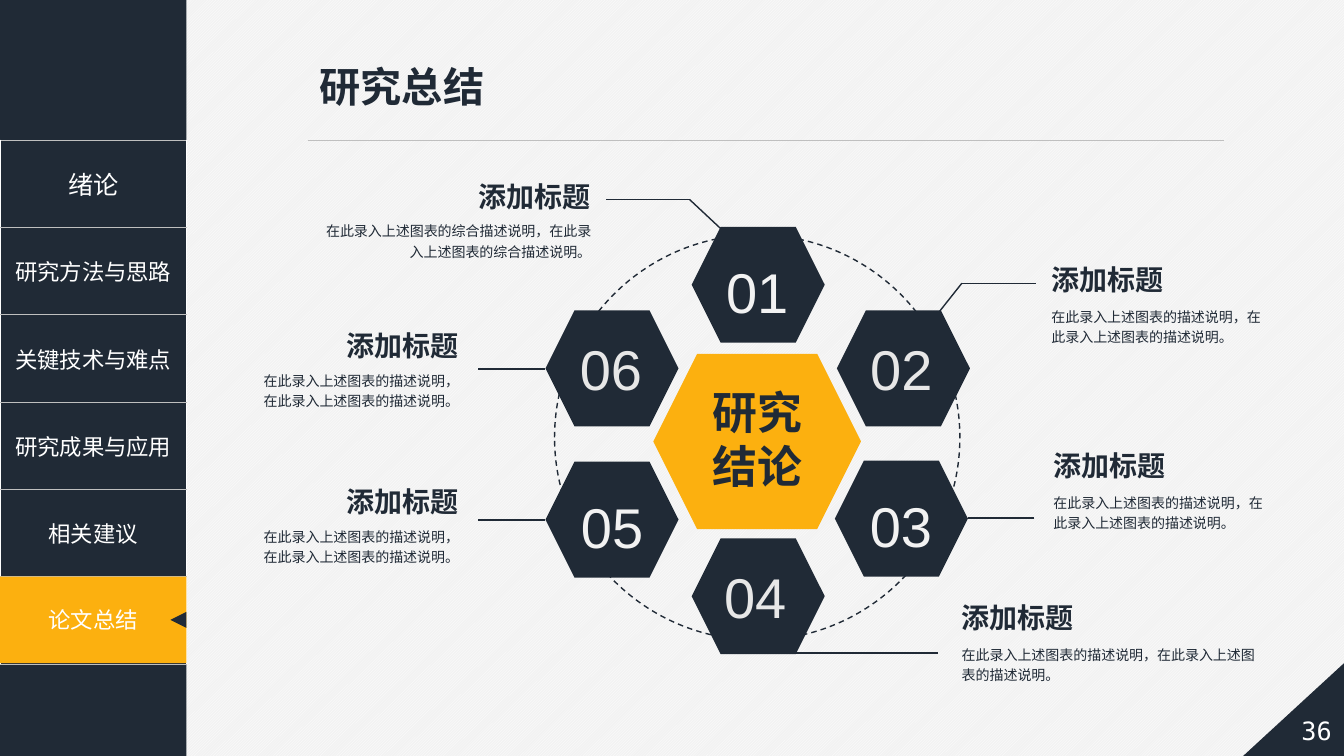
from lxml.etree import SubElement
from pptx import Presentation
from pptx.dml.color import RGBColor
from pptx.enum.dml import MSO_LINE as DASH, MSO_PATTERN as PAT
from pptx.enum.shapes import MSO_CONNECTOR as CON, MSO_SHAPE as KIND
from pptx.enum.text import MSO_ANCHOR as ANC, MSO_AUTO_SIZE as AUTO, PP_ALIGN as AL
from pptx.oxml import parse_xml
from pptx.oxml.ns import nsdecls, qn
from pptx.util import Pt

PX = 9144
NAVY, GOLD, GREY, WHITE = "202A36", "FCB00F", "BFBFBF", "FFFFFF"
CJK = "Noto Sans CJK SC"
hue = RGBColor.from_string

deck = Presentation()
deck.slide_width, deck.slide_height = 1333 * PX, 750 * PX
slide = deck.slides.add_slide(deck.slide_layouts[5])
shapes = slide.shapes
back = slide.background.fill
back.patterned()
back.pattern = PAT.LIGHT_UPWARD_DIAGONAL
back.fore_color.rgb, back.back_color.rgb = hue(WHITE), hue("F2F2F2")


def block(kind, at, color=None):
    at = [n * PX for n in at]
    if kind is None:
        return shapes.add_textbox(*at)
    shape = shapes.add_shape(kind, *at)
    shape.shadow.inherit = False
    shape.line.fill.background()
    if color:
        shape.fill.solid()
        shape.fill.fore_color.rgb = hue(color)
    else:
        shape.fill.background()
    return shape


def write(frame, text, color, size, align=AL.CENTER, name=CJK, bold=False, space=1.0):
    para = frame.paragraphs[0]
    para.alignment, para.line_spacing = align, space
    run = para.add_run()
    run.text = text
    form = {"size": Pt(size), "bold": bold, "name": name}
    for key, val in form.items():
        setattr(run.font, key, val)
    run.font.color.rgb = hue(color)
    SubElement(run.font._element, qn("a:ea"), typeface=CJK)


title = shapes.title
box = {"left": 307, "top": 56, "width": 185, "height": 59}
for key, val in box.items():
    setattr(title, key, val * PX)
frame = title.text_frame
frame.word_wrap, frame.vertical_anchor = False, ANC.MIDDLE
write(frame, "研究总结", NAVY, 29.4, AL.LEFT, "Arial", True)

block(KIND.RECTANGLE, (0, 0, 185, 750), NAVY)
menu = ["绪论", "研究方法与思路", "关键技术与难点", "研究成果与应用", "相关建议", "论文总结"]
table = shapes.add_table(6, 1, 0, 139 * PX, 185 * PX, 520 * PX).table
table.first_row = table.horz_banding = False
for i, text in enumerate(menu):
    table.rows[i].height = 520 * PX // 6
    cell = table.cell(i, 0)
    cell.vertical_anchor = ANC.MIDDLE
    write(cell.text_frame, text, WHITE, 16 if i else 18)
    prop = cell._tc.get_or_add_tcPr()
    for side in ("lnT", "lnB"):
        prop.append(parse_xml(
            f'<a:{side} {nsdecls("a")} w="12700"><a:solidFill>'
            f'<a:srgbClr val="{GREY}"/></a:solidFill></a:{side}>'))
    cell.fill.background()

tab = block(KIND.RECTANGLE, (0, 572, 185, 86), GOLD)
tab.text_frame.vertical_anchor = ANC.MIDDLE
write(tab.text_frame, menu[-1], WHITE, 16)
block(KIND.ISOSCELES_TRIANGLE, (169, 607, 16, 16), NAVY).rotation = 270

corner = block(KIND.RIGHT_TRIANGLE, (1233, 658, 100, 92), NAVY)
plate = block(KIND.PENTAGON, (1245, 697, 108, 55))
for shape in (corner, plate):
    shape.element.spPr.get_or_add_xfrm().set("flipH", "1")
plate.text_frame.vertical_anchor = ANC.MIDDLE
write(plate.text_frame, "36", WHITE, 18, name="DejaVu Sans Mono")

routes = [
    (GREY, 0.5, [(305, 139), (1214, 139)]),
    (NAVY, 1, [(1026, 514), (960, 514)]),
    (NAVY, 1, [(789, 648), (930, 648)]),
    (NAVY, 1, [(541, 516), (474, 516)]),
    (NAVY, 1, [(541, 366), (474, 366)]),
    (NAVY, 1, [(715, 227), (684, 198), (601, 198)]),
    (NAVY, 1, [(931, 310), (954, 281), (1028, 281)]),
]
for color, width, dots in routes:
    for start, end in zip(dots, dots[1:]):
        line = shapes.add_connector(CON.STRAIGHT, *[n * PX for n in start + end])
        line.line.color.rgb, line.line.width = hue(color), Pt(width)
        SubElement(line.element.spPr, qn("a:effectLst"))

cells = [
    ("01", 686, 225, (703, 237, 96, 83)),
    ("02", 830, 308, (849, 327, 90, 77)),
    ("03", 828, 457, (843, 469, 101, 83)),
    ("04", 686, 534, (704, 553, 90, 77)),
    ("05", 541, 458, (562, 470, 90, 83)),
    ("06", 541, 308, (561, 327, 90, 77)),
]
for text, left, top, at in cells:
    block(KIND.HEXAGON, (left, top, 132, 115), NAVY)
    frame = block(None, at).text_frame
    frame.word_wrap, frame.auto_size = True, AUTO.SHAPE_TO_FIT_TEXT
    odd = int(text) % 2
    write(frame, text, "F2F2F2" if odd else "E7E7E7", 40,
          name="Arial", space=1.2 if odd else 1.0)

short = "在此录入上述图表的描述说明，在此录入上述图表的描述说明。"
long = "在此录入上述图表的综合描述说明，在此录入上述图表的综合描述说明。"
notes = [
    (AL.RIGHT, 596, 173, 289, long),
    (AL.RIGHT, 465, 321, 218, short),
    (AL.RIGHT, 465, 476, 218, short),
    (AL.LEFT, 1033, 256, 234, short),
    (AL.LEFT, 1035, 440, 234, short),
    (AL.LEFT, 944, 591, 312, short),
]
for align, edge, top, wide, text in notes:
    flush = align == AL.RIGHT
    head = block(None, (edge - 132 * flush, top, 132, 44)).text_frame
    body = block(None, (edge - wide * flush, top + 42 - 2 * flush, wide, 50)).text_frame
    head.word_wrap, body.word_wrap = False, True
    head.auto_size = body.auto_size = AUTO.SHAPE_TO_FIT_TEXT
    write(head, "添加标题", NAVY, 20, align, bold=True)
    write(body, text, NAVY, 10, align, space=1.2)

block(KIND.HEXAGON, (648, 351, 206, 174), GOLD)
core = block(None, (688, 377, 127, 121)).text_frame
core.word_wrap, core.auto_size = True, AUTO.SHAPE_TO_FIT_TEXT
write(core, "研究结论", NAVY, 32, bold=True)

ring = block(KIND.OVAL, (550, 233, 402, 402)).line
ring.color.rgb, ring.width, ring.dash_style = hue(NAVY), Pt(1), DASH.DASH

deck.save("out.pptx")
